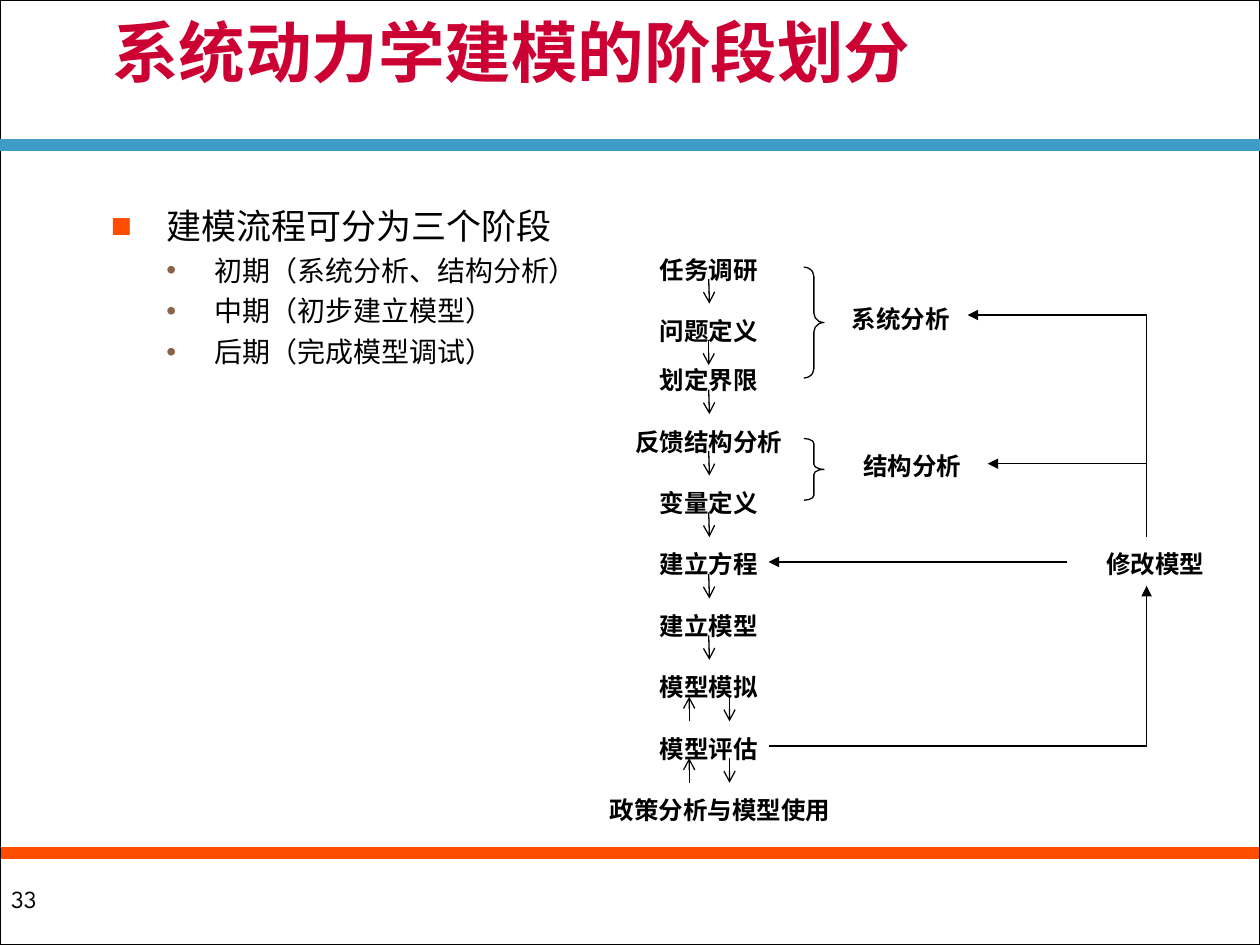
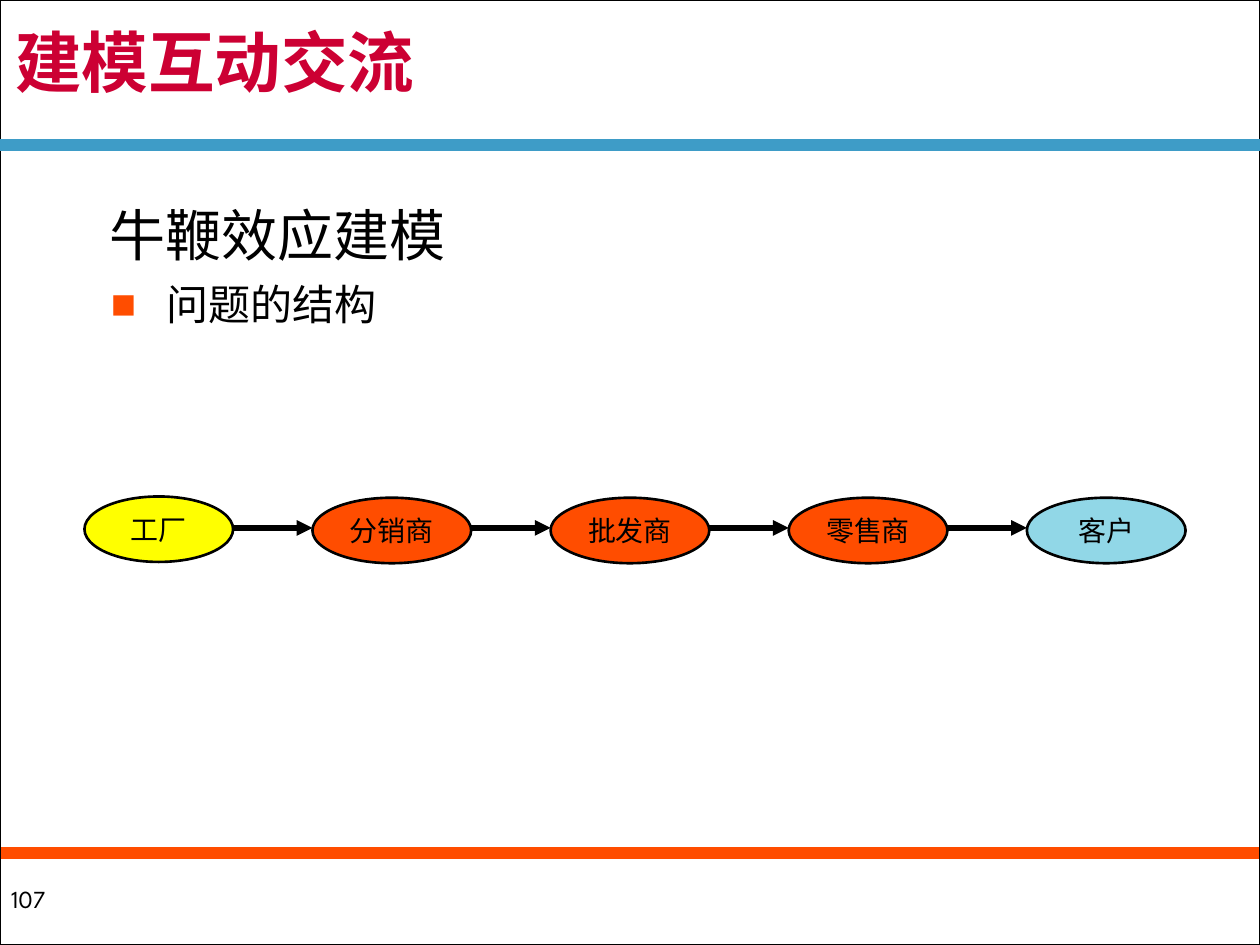
from dataclasses import dataclass
from itertools import pairwise
from typing import Optional

from lxml.etree import SubElement
from pptx import Presentation
from pptx.dml.color import RGBColor
from pptx.enum.shapes import MSO_CONNECTOR, MSO_SHAPE
from pptx.enum.text import MSO_ANCHOR, MSO_AUTO_SIZE, PP_ALIGN
from pptx.oxml.ns import qn
from pptx.util import Inches, Pt


@dataclass(frozen=True)
class Theme:
    black: str = "000000"
    white: str = "FFFFFF"
    title: str = "CC0033"
    blue: str = "3E9CC7"
    orange: str = "FF4D00"
    brown: str = "896247"
    yellow: str = "FFFF00"
    sky: str = "91D7E7"
    cjk_font: str = "Noto Sans CJK SC"
    body_font: str = "League Spartan"
    flow_font: str = "Times New Roman"
    chain_font: str = "Arial"
    title_size: float = 38
    heading_size: float = 32
    topic_size: float = 24
    item_size: float = 20
    detail_size: float = 16
    label_size: float = 14
    thin: float = 0.75
    outline: float = 1.5
    thick: float = 3
    band: float = 7


@dataclass(frozen=True)
class Box:
    left: float
    top: float
    width: float
    height: float

    def emu(self) -> tuple:
        return tuple(Inches(v) for v in (self.left, self.top, self.width, self.height))


@dataclass(frozen=True)
class Style:
    font: str
    size: float
    color: str = "000000"
    bold: bool = False


@dataclass(frozen=True)
class Item:
    text: str
    style: Style
    level: int
    margin: float
    indent: float = 0
    before: float = 0
    bullet: str = ""
    bullet_color: str = ""


@dataclass(frozen=True)
class Link:
    x1: float
    y1: float
    x2: float
    y2: float
    arrow: Optional[str] = None


@dataclass(frozen=True)
class Step:
    text: str
    row: int
    left: float = 4.84
    width: float = 1.57


@dataclass(frozen=True)
class Member:
    text: str
    fill: str
    box: Box


T = Theme()
TITLE = Style(T.cjk_font, T.title_size, T.title, True)
LABEL = Style(T.flow_font, T.label_size, bold=True)
CHAIN = Style(T.chain_font, T.detail_size)
BODY_BOX = Box(0.69, 1.67, 9.06, 4.84)
FLOW_TOP, ROW, FLOW_X = 2.02, 0.0975, 5.63
LABEL_HEIGHT = 2 * ROW


def style_paragraph(p, style: Style) -> None:
    for r in p.runs:
        r.font.name = style.font
        r.font.size = Pt(style.size)
        r.font.bold = style.bold
        r.font.color.rgb = RGBColor.from_string(style.color)
        SubElement(r.font._element, qn("a:ea")).set("typeface", T.cjk_font)


def set_frame(tf, anchor: MSO_ANCHOR, inset: float = 0, wrap: bool = True) -> None:
    tf.auto_size = MSO_AUTO_SIZE.NONE
    tf.word_wrap = wrap
    tf.vertical_anchor = anchor
    tf.margin_left = tf.margin_right = tf.margin_top = tf.margin_bottom = Inches(inset)


def place(sp, box: Box) -> None:
    sp.left, sp.top, sp.width, sp.height = box.emu()


def add_outline(s, kind: MSO_SHAPE, box: Box, fill: Optional[str] = None,
                line: Optional[str] = None, width: float = 1):
    sp = s.shapes.add_shape(kind, *box.emu())
    sp.shadow.inherit = False
    if fill:
        sp.fill.solid()
        sp.fill.fore_color.rgb = RGBColor.from_string(fill)
    else:
        sp.fill.background()
    if line:
        sp.line.color.rgb = RGBColor.from_string(line)
        sp.line.width = Pt(width)
    else:
        sp.line.fill.background()
    return sp


def add_link(s, link: Link, color: str = T.black, width: float = T.thin):
    points = (Inches(v) for v in (link.x1, link.y1, link.x2, link.y2))
    sp = s.shapes.add_connector(MSO_CONNECTOR.STRAIGHT, *points)
    sp.line.color.rgb = RGBColor.from_string(color)
    sp.line.width = Pt(width)
    sp_pr = sp._element.spPr
    if link.arrow:
        SubElement(sp_pr.find(qn("a:ln")), qn("a:tailEnd")).set("type", link.arrow)
    SubElement(sp_pr, qn("a:effectLst"))
    return sp


def add_label(s, text: str, left: float, top: float, width: float):
    sp = s.shapes.add_textbox(*Box(left, top, width, LABEL_HEIGHT).emu())
    tf = sp.text_frame
    set_frame(tf, MSO_ANCHOR.TOP)
    tf.text = text
    tf.paragraphs[0].alignment = PP_ALIGN.CENTER
    style_paragraph(tf.paragraphs[0], LABEL)
    return sp


def add_item(p, item: Item) -> None:
    p.text = item.text
    p.level = item.level
    p_pr = p._p.get_or_add_pPr()
    p_pr.set("marL", str(Inches(item.margin)))
    p_pr.set("indent", str(Inches(item.indent)))
    if item.bullet:
        color = SubElement(p_pr, qn("a:buClr"))
        SubElement(color, qn("a:srgbClr")).set("val", item.bullet_color)
        SubElement(p_pr, qn("a:buFont")).set("typeface", T.chain_font)
        SubElement(p_pr, qn("a:buChar")).set("char", item.bullet)
    else:
        SubElement(p_pr, qn("a:buNone"))
    p.alignment = PP_ALIGN.LEFT
    p.line_spacing = 0.85
    p.space_before = Pt(item.before)
    style_paragraph(p, item.style)


def topic(text: str, size: float, before: float = 0) -> Item:
    return Item(text, Style(T.body_font, size), 1, 0.63, -0.44, before, "■", T.orange)


def detail(text: str) -> Item:
    style = Style(T.body_font, T.detail_size)
    return Item(text, style, 2, 1.01, -0.38, 7, "•", T.brown)


def add_page(prs, title: str, title_box: Box, number: int, items: list[Item]):
    s = prs.slides.add_slide(prs.slide_layouts[1])
    footer = add_outline(s, MSO_SHAPE.RECTANGLE, Box(-0.01, 6.76, 10.01, 0.74), T.white)
    tf = footer.text_frame
    set_frame(tf, MSO_ANCHOR.MIDDLE, 0.1, wrap=False)
    tf.text = str(number)
    tf.paragraphs[0].alignment = PP_ALIGN.LEFT
    style_paragraph(tf.paragraphs[0], Style(T.body_font, T.label_size))
    add_link(s, Link(0, 6.77, 10, 6.77), T.orange, T.band)
    add_outline(s, MSO_SHAPE.RECTANGLE, Box(0, 0, 10, 7.5), line=T.black)
    add_link(s, Link(0, 1.15, 10, 1.15), T.blue, T.band)

    place(s.shapes.title, title_box)
    tf = s.shapes.title.text_frame
    set_frame(tf, MSO_ANCHOR.MIDDLE)
    tf.text = title
    p = tf.paragraphs[0]
    p.alignment = PP_ALIGN.LEFT
    p.line_spacing = 0.85
    style_paragraph(p, TITLE)

    body = s.placeholders[1]
    place(body, BODY_BOX)
    tf = body.text_frame
    set_frame(tf, MSO_ANCHOR.TOP)
    for i, item in enumerate(items):
        add_item(tf.add_paragraph() if i else tf.paragraphs[0], item)
    return s


def add_flow(s, steps: list[Step], two_way: set[str]) -> None:
    boxes = [add_label(s, step.text, step.left, FLOW_TOP + step.row * ROW, step.width)
             for step in steps]
    for (step, box), (following, next_box) in pairwise(zip(steps, boxes)):
        start = FLOW_TOP + (step.row + 2) * ROW
        end = start + 2 * ROW
        if step.text in two_way:
            add_link(s, Link(FLOW_X - 0.16, end, FLOW_X - 0.16, start, "arrow"))
            add_link(s, Link(FLOW_X + 0.16, start, FLOW_X + 0.16, end, "arrow"))
            continue
        sp = add_link(s, Link(FLOW_X, start, FLOW_X, end, "arrow"))
        sp.begin_connect(box, 2)
        if following.row == step.row + 4:
            sp.end_connect(next_box, 0)


def build_stages(prs) -> None:
    items = [
        topic("建模流程可分为三个阶段", T.item_size),
        detail("初期（系统分析、结构分析）"),
        detail("中期（初步建立模型）"),
        detail("后期（完成模型调试）"),
    ]
    s = add_page(prs, "系统动力学建模的阶段划分", Box(0.89, 0, 9.03, 0.91), 33, items)
    steps = [
        Step("任务调研", 0),
        Step("问题定义", 5),
        Step("划定界限", 9),
        Step("反馈结构分析", 14),
        Step("变量定义", 19),
        Step("建立方程", 24),
        Step("建立模型", 29),
        Step("模型模拟", 34),
        Step("模型评估", 39),
        Step("政策分析与模型使用", 44, 4.69, 2.05),
    ]
    add_flow(s, steps, {"模型模拟", "模型评估"})
    for top, height, curve in ((2.12, 0.88, 0.46), (3.48, 0.49, 0.25)):
        brace = add_outline(s, MSO_SHAPE.RIGHT_BRACE, Box(6.38, top, 0.16, height),
                            line=T.black, width=T.thin)
        brace.adjustments[0] = curve
    for text, left, top in (("系统分析", 6.52, 2.41), ("结构分析", 6.61, 3.58),
                            ("修改模型", 8.54, 4.36)):
        add_label(s, text, left, top, 1.26)
    feedback = [
        Link(9.1, 2.5, 7.68, 2.5, "triangle"),
        Link(9.1, 2.5, 9.1, 4.26),
        Link(9.1, 3.68, 7.84, 3.68, "triangle"),
        Link(8.47, 4.46, 6.1, 4.46, "triangle"),
        Link(6.1, 5.92, 9.1, 5.92),
        Link(9.1, 5.92, 9.1, 4.65, "triangle"),
    ]
    for link in feedback:
        add_link(s, link)


def build_supply_chain(prs) -> None:
    heading = Item("牛鞭效应建模", Style(T.cjk_font, T.heading_size), 0, 0.18)
    items = [heading, topic("问题的结构", T.topic_size, 10.5)]
    s = add_page(prs, "建模互动交流", Box(0.12, 0.08, 9.8, 0.91), 107, items)
    partners = [("分销商", T.orange), ("批发商", T.orange), ("零售商", T.orange), ("客户", T.sky)]
    members = [Member("工厂", T.yellow, Box(0.67, 3.94, 1.18, 0.52))]
    members += [Member(text, fill, Box(2.48 + 1.89 * i, 3.95, 1.26, 0.52))
                for i, (text, fill) in enumerate(partners)]
    for member in members:
        sp = add_outline(s, MSO_SHAPE.OVAL, member.box, member.fill, T.black, T.outline)
        tf = sp.text_frame
        set_frame(tf, MSO_ANCHOR.MIDDLE, 0.05)
        tf.text = member.text
        tf.paragraphs[0].alignment = PP_ALIGN.CENTER
        style_paragraph(tf.paragraphs[0], CHAIN)
    for a, b in pairwise(m.box for m in members):
        add_link(s, Link(a.left + a.width, 4.19, b.left, 4.19, "triangle"), width=T.thick)


def main() -> None:
    prs = Presentation()
    prs.slide_width, prs.slide_height = Inches(10), Inches(7.5)
    build_stages(prs)
    build_supply_chain(prs)
    prs.save("out.pptx")


if __name__ == "__main__":
    main()
